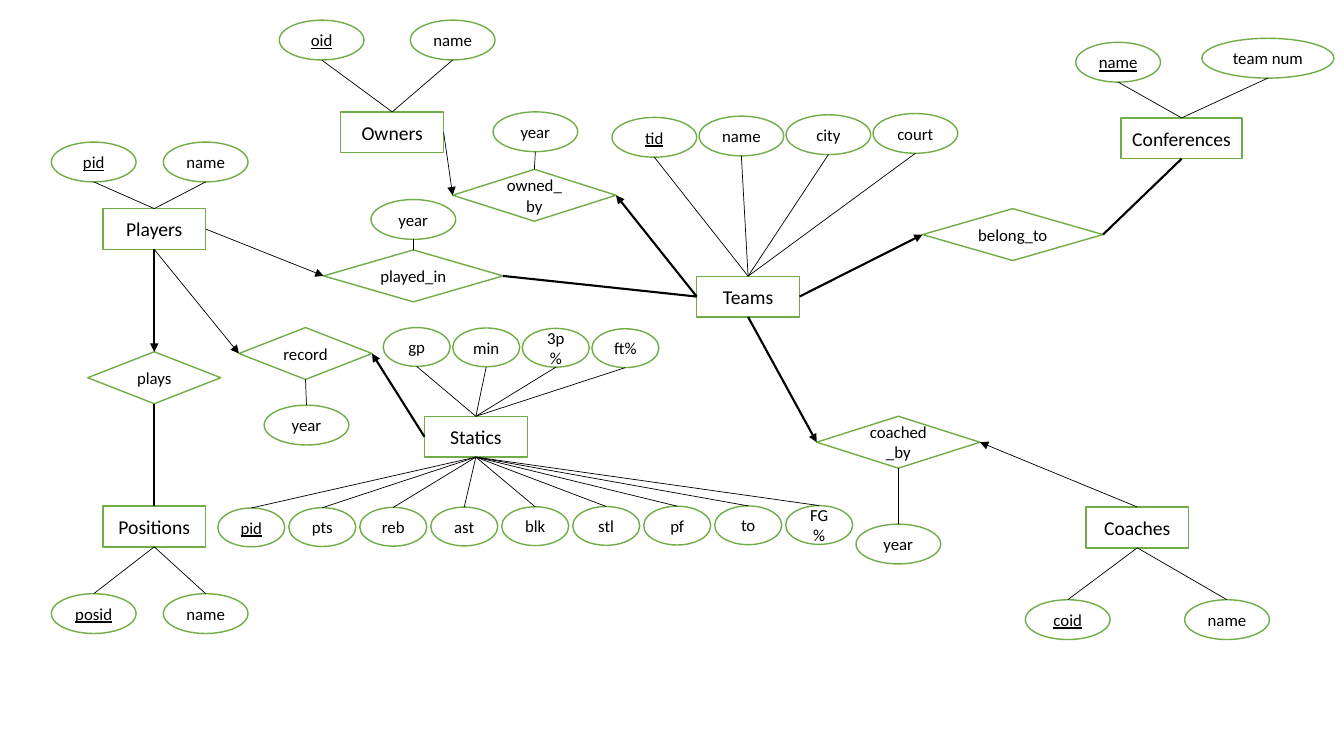
from pptx import Presentation
from pptx.dml.color import RGBColor
from pptx.enum.shapes import MSO_CONNECTOR, MSO_SHAPE
from pptx.enum.text import MSO_ANCHOR, PP_ALIGN
from pptx.oxml.ns import qn
from pptx.util import Inches, Pt
from lxml import etree

RECTANGLE = MSO_SHAPE.RECTANGLE
DIAMOND = MSO_SHAPE.DIAMOND
OVAL = MSO_SHAPE.OVAL
STRAIGHT = MSO_CONNECTOR.STRAIGHT
CENTER = PP_ALIGN.CENTER
MIDDLE = MSO_ANCHOR.MIDDLE
TOP, LEFT, BOTTOM, RIGHT = range(4)

SLIDE_WIDTH = Inches(13.33)
SLIDE_HEIGHT = Inches(7.5)
COLUMN = SLIDE_WIDTH / 133.3
ROW = SLIDE_HEIGHT / 75

COLORS = {"fill": "FFFFFF", "outline": "70AD47", "ink": "000000"}
FONT = "Calibri"
THIN, THICK = 0.5, 1.5
ENTITY_WIDTH, ENTITY_HEIGHT = 10.2, 4.05
RELATION_HEIGHT = 5.15
WIDE_OVAL = (8.4, 3.95)
SMALL_OVAL = (6.65, 3.85)

ENTITIES = {
    "Players": (10.2, 20.7, ENTITY_WIDTH),
    "Positions": (10.2, 50.2, ENTITY_WIDTH),
    "Statics": (42.1, 41.3, ENTITY_WIDTH),
    "Owners": (33.8, 11.1, ENTITY_WIDTH),
    "Teams": (69.1, 27.4, ENTITY_WIDTH),
    "Conferences": (111.2, 11.7, 12),
    "Coaches": (107.7, 50.3, ENTITY_WIDTH),
}

RELATIONS = {
    "coached_by": (81, 41.3, 16.2),
    "belong_to": (91.5, 20.7, 17.9),
    "owned_by": (44.9, 16.8, 16.2),
    "played_in": (32.1, 24.8, 17.8),
    "plays": (8.7, 34.9, 13.2),
    "record": (23.7, 32.5, 13.2),
}

# owner, side, labels, underlined key, left, top, pitch, slope, oval size
ATTRIBUTES = [
    ("Players", TOP, ["pid", "name"], "pid", 5.1, 14.1, 11.1, 0, WIDE_OVAL),
    ("Positions", BOTTOM, ["posid", "name"], "posid", 5.1, 58.9, 11.1, 0, WIDE_OVAL),
    ("Owners", TOP, ["oid", "name"], "oid", 27.7, 2, 13, 0, WIDE_OVAL),
    ("Teams", TOP, ["tid", "name", "city", "court"], "tid",
     60.7, 11.65, 8.63, -0.13, WIDE_OVAL),
    ("Conferences", TOP, ["name"], "name", 106.7, 4.2, 0, 0, WIDE_OVAL),
    ("Conferences", TOP, ["team num"], None, 119.2, 3.8, 0, 0, (13.1, 3.95)),
    ("Coaches", BOTTOM, ["coid", "name"], "coid", 101.7, 59.5, 15.8, 0, WIDE_OVAL),
    ("Statics", TOP, ["gp", "min", "3p%", "ft%"], None,
     38, 32.5, 6.9, 0.04, SMALL_OVAL),
    ("Statics", BOTTOM, ["pid", "pts", "reb", "ast", "blk", "stl", "pf", "to", "FG%"],
     "pid", 21.6, 50.4, 7.04, -0.03, SMALL_OVAL),
    ("coached_by", BOTTOM, ["year"], None, 84.9, 52, 0, 0, WIDE_OVAL),
    ("owned_by", TOP, ["year"], None, 48.9, 11.1, 0, 0, WIDE_OVAL),
    ("played_in", TOP, ["year"], None, 36.8, 19.8, 0, 0, WIDE_OVAL),
    ("record", BOTTOM, ["year"], None, 26.2, 40.2, 0, 0, WIDE_OVAL),
]

LINKS = [
    ("Teams", RIGHT, "belong_to", LEFT, THICK, True),
    ("belong_to", RIGHT, "Conferences", BOTTOM, THICK, False),
    ("Teams", BOTTOM, "coached_by", LEFT, THICK, True),
    ("Coaches", TOP, "coached_by", RIGHT, THIN, True),
    ("Teams", LEFT, "owned_by", RIGHT, THICK, True),
    ("Owners", RIGHT, "owned_by", LEFT, THIN, True),
    ("plays", BOTTOM, "Positions", TOP, THICK, False),
    ("Players", BOTTOM, "plays", TOP, THICK, True),
    ("Teams", LEFT, "played_in", RIGHT, THICK, False),
    ("Players", RIGHT, "played_in", LEFT, THIN, True),
    ("Players", BOTTOM, "record", LEFT, THIN, True),
    ("Statics", LEFT, "record", RIGHT, THICK, True),
]


def color(name):
    return RGBColor.from_string(COLORS[name])


def add_node(slide, kind, label, left, top, width, height, size, underline=False):
    shape = slide.shapes.add_shape(
        kind, round(left * COLUMN), round(top * ROW),
        round(width * COLUMN), round(height * ROW))
    shape.shadow.inherit = False
    shape.fill.solid()
    shape.fill.fore_color.rgb = color("fill")
    shape.line.color.rgb = color("outline")
    shape.line.width = Pt(1)
    frame = shape.text_frame
    frame.word_wrap = True
    frame.vertical_anchor = MIDDLE
    paragraph = frame.paragraphs[0]
    paragraph.alignment = CENTER
    run = paragraph.add_run()
    run.text = label
    paragraph.font.name = FONT
    paragraph.font.size = Pt(size)
    paragraph.font.color.rgb = color("ink")
    if underline:
        run.font.underline = True
    return shape


def add_line(slide, end_shape, end_side, weight, start=(0, 0), arrow=False):
    connector = slide.shapes.add_connector(STRAIGHT, *start, *start)
    connector.end_connect(end_shape, end_side)
    connector.line.color.rgb = color("ink")
    connector.line.width = Pt(weight)
    properties = connector._element.spPr
    if arrow:
        outline = properties.get_or_add_ln()
        etree.SubElement(outline, qn("a:tailEnd"), type="triangle")
    etree.SubElement(properties, qn("a:effectLst"))
    return connector


def add_attributes(slide, owner, side, labels, key, left, top, pitch, slope, size):
    for index, label in enumerate(labels):
        oval = add_node(slide, OVAL, label, left + index * pitch,
                        top + index * slope, *size, 12, label == key)
        bottom_middle = (oval.left + oval.width // 2, oval.top + oval.height)
        connector = add_line(slide, owner, side, THIN, bottom_middle)
        if side == BOTTOM:
            connector.begin_connect(oval, TOP)


def main():
    presentation = Presentation()
    presentation.slide_width = SLIDE_WIDTH
    presentation.slide_height = SLIDE_HEIGHT
    slide = presentation.slides.add_slide(presentation.slide_layouts[6])
    nodes = {}
    for label, (left, top, width) in ENTITIES.items():
        nodes[label] = add_node(slide, RECTANGLE, label, left, top,
                                width, ENTITY_HEIGHT, 14)
    for label, (left, top, width) in RELATIONS.items():
        nodes[label] = add_node(slide, DIAMOND, label, left, top,
                                width, RELATION_HEIGHT, 12)
    for owner, *details in ATTRIBUTES:
        add_attributes(slide, nodes[owner], *details)
    for source, source_side, target, target_side, weight, arrow in LINKS:
        connector = add_line(slide, nodes[target], target_side, weight, arrow=arrow)
        connector.begin_connect(nodes[source], source_side)
    presentation.save("out.pptx")


if __name__ == "__main__":
    main()
